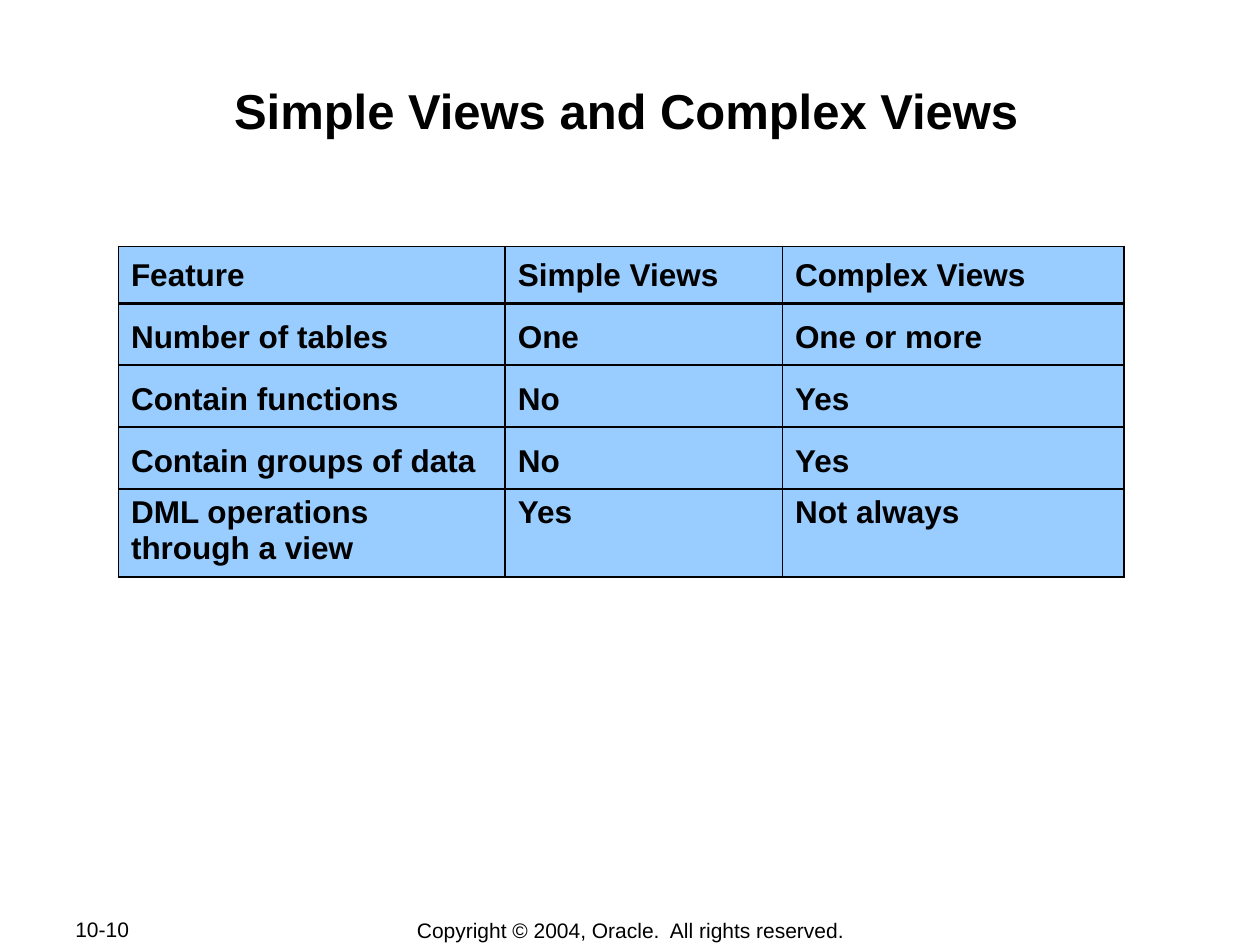
import pptx
import pptx.util
import pptx.dml.color
import pptx.enum.text
import pptx.oxml.ns
import lxml.etree

Pt = pptx.util.Pt
RGB = pptx.dml.color.RGBColor.from_string
ALIGN = pptx.enum.text.PP_ALIGN
ANCHOR = pptx.enum.text.MSO_ANCHOR
COLORS = {"ink": "000000", "cell": "99CCFF"}

prs = pptx.Presentation()
prs.slide_width = pptx.util.Inches(10)
prs.slide_height = pptx.util.Inches(7.5)
W, H = prs.slide_width, prs.slide_height
s = prs.slides.add_slide(prs.slide_layouts[6])


def write(tf, text, size, bold, **paragraph_format):
    p = tf.paragraphs[0]
    r = p.add_run()
    r.text = text
    for name, value in {"name": "Arial", "size": Pt(size), "bold": bold}.items():
        setattr(r.font, name, value)
    r.font.color.rgb = RGB(COLORS["ink"])
    for name, value in paragraph_format.items():
        setattr(p, name, value)


def border(cell, side, width):
    ln = lxml.etree.SubElement(cell._tc.get_or_add_tcPr(), pptx.oxml.ns.qn(f"a:ln{side}"), w=str(Pt(width)))
    fill = lxml.etree.SubElement(ln, pptx.oxml.ns.qn("a:solidFill"))
    lxml.etree.SubElement(fill, pptx.oxml.ns.qn("a:srgbClr"), val=COLORS["ink"])


texts = [
    ("10-10", (0.05, 0.97, 0.106, 0.027), 12, False, ALIGN.JUSTIFY, ANCHOR.MIDDLE, (0.1, 0.05)),
    ("Copyright © 2004, Oracle.  All rights reserved.", (0.276, 0.97, 0.449, 0.028),
     12, False, ALIGN.CENTER, ANCHOR.MIDDLE, (0.1, 0.05)),
    ("Simple Views and Complex Views", (0.097, 0.077, 0.8, 0.128),
     28, True, ALIGN.CENTER, ANCHOR.TOP, (0.01, 0.06)),
]
for text, (x, y, w, h), size, bold, align, anchor, (side, top) in texts:
    sp = s.shapes.add_textbox(int(x * W), int(y * H), int(w * W), int(h * H))
    tf = sp.text_frame
    frame = {"word_wrap": True, "vertical_anchor": anchor,
             "margin_left": pptx.util.Inches(side), "margin_right": pptx.util.Inches(side),
             "margin_top": pptx.util.Inches(top), "margin_bottom": pptx.util.Inches(top)}
    for name, value in frame.items():
        setattr(tf, name, value)
    write(tf, text, size, bold, alignment=align)

rows = [
    ("Feature", "Simple Views", "Complex Views"),
    ("Number of tables", "One", "One or more"),
    ("Contain functions", "No", "Yes"),
    ("Contain groups of data", "No", "Yes"),
    ("DML operations through a view", "Yes", "Not always"),
]
col_shares = [0.307, 0.22, 0.271]
row_shares = [0.06] + [0.0655] * 3 + [0.0935]
spacings = [1.15] + [1.3] * 3 + [1.0]
sp = s.shapes.add_table(len(rows), len(col_shares), int(0.094 * W), int(0.261 * H),
                        int(sum(col_shares) * W), int(sum(row_shares) * H))
table = sp.table
for column, share in zip(table.columns, col_shares):
    column.width = int(share * W)
for i, (row, share) in enumerate(zip(table.rows, row_shares)):
    row.height = int(share * H)
    for cell, text in zip(row.cells, rows[i]):
        write(cell.text_frame, text, 18, True, line_spacing=spacings[i])
        widths = {"L": 1.08, "R": 1.08, "T": 2.21 if i == 1 else 1.08, "B": 2.21 if i == 0 else 1.08}
        for side, width in widths.items():
            border(cell, side, width)
        cell.fill.solid()
        cell.fill.fore_color.rgb = RGB(COLORS["cell"])

prs.save("out.pptx")
